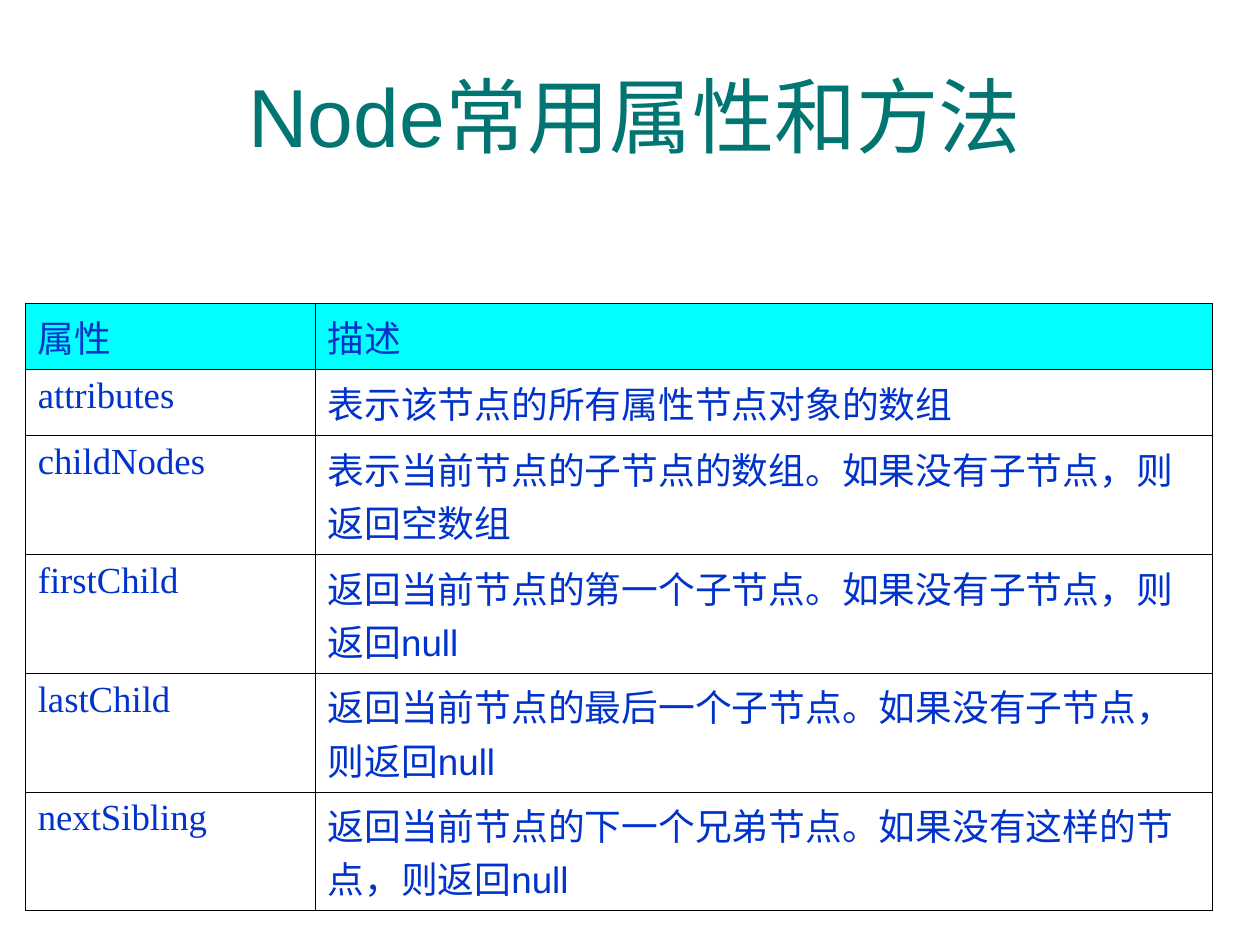
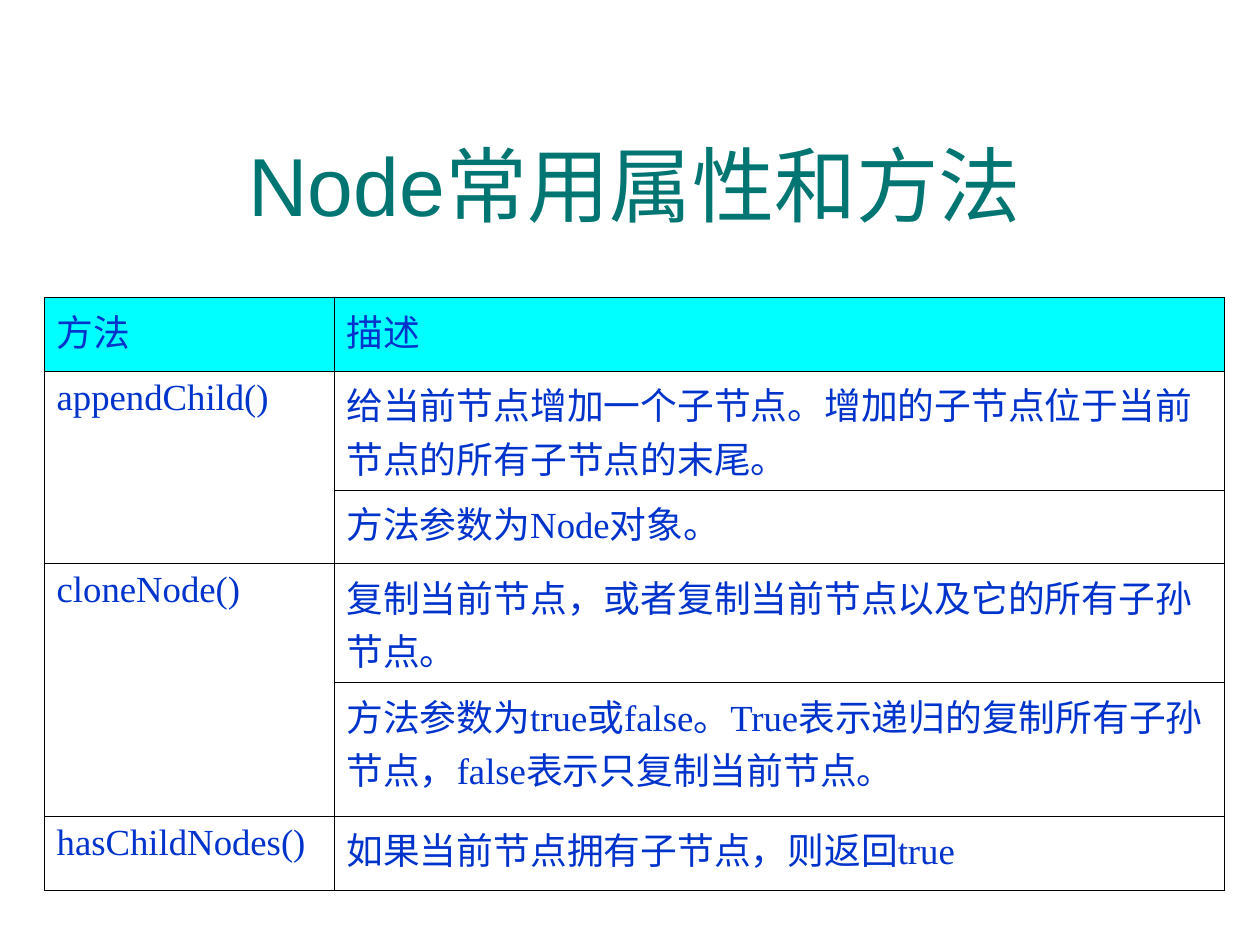
import pptx
import pptx.dml.color
import pptx.enum.lang
import pptx.enum.text
import pptx.oxml
import pptx.oxml.ns
import pptx.util

TITLE_GREEN = pptx.dml.color.RGBColor(0x00, 0x75, 0x72)
TEXT_BLUE = pptx.dml.color.RGBColor(0x00, 0x33, 0xCC)
HEADER_CYAN = pptx.dml.color.RGBColor(0x00, 0xFF, 0xFF)
RULE_BLACK = pptx.dml.color.RGBColor(0x00, 0x00, 0x00)
SANS, SERIF = "Arial", "Times New Roman"

# The grid has square cells: 100 columns by 75 rows.
COLUMNS, ROWS = 100, 75
TITLE_LEFT, TITLE_WIDTH, TITLE_HEIGHT = 8.3, 84.2, 8
KEY_COLUMNS = 23
HEADING = "Node常用属性和方法"

# Each entry: name (None continues the one above), description, font, grid rows.
PROPERTIES = [
    ("属性", "描述", SERIF, 4.5),
    ("attributes", "表示该节点的所有属性节点对象的数组", SANS, 4.5),
    ("childNodes", "表示当前节点的子节点的数组。如果没有子节点，则返回空数组", SANS, 8),
    ("firstChild", "返回当前节点的第一个子节点。如果没有子节点，则返回null", SANS, 8),
    ("lastChild", "返回当前节点的最后一个子节点。如果没有子节点，则返回null", SANS, 8),
    ("nextSibling", "返回当前节点的下一个兄弟节点。如果没有这样的节点，则返回null", SANS, 8),
]
METHODS = [
    ("方法", "描述", SERIF, 5.85),
    ("appendChild()", "给当前节点增加一个子节点。增加的子节点位于当前节点的所有子节点的末尾。", SANS, 8.1),
    (None, "方法参数为Node对象。", SERIF, 5.85),
    ("cloneNode()", "复制当前节点，或者复制当前节点以及它的所有子孙节点。", SERIF, 8),
    (None, "方法参数为true或false。True表示递归的复制所有子孙节点，false表示只复制当前节点。", SERIF, 10.6),
    ("hasChildNodes()", "如果当前节点拥有子节点，则返回true", SERIF, 5.9),
]


class Deck:
    def __init__(self):
        self.presentation = pptx.Presentation()
        self.presentation.slide_width = pptx.util.Inches(10)
        self.presentation.slide_height = pptx.util.Inches(7.5)
        self.slide = None

    def across(self, columns):
        return round(self.presentation.slide_width * columns / COLUMNS)

    def down(self, rows):
        return round(self.presentation.slide_height * rows / ROWS)

    def set_text(self, frame, words, color, **font_format):
        frame.text = words
        run = frame.paragraphs[0].runs[0]
        font_format["bold"] = False
        font_format["language_id"] = pptx.enum.lang.MSO_LANGUAGE_ID.SIMPLIFIED_CHINESE
        for attribute, value in font_format.items():
            setattr(run.font, attribute, value)
        run.font.color.rgb = color

    def add_titled_slide(self, heading, top):
        self.slide = self.presentation.slides.add_slide(self.presentation.slide_layouts[5])
        title = self.slide.shapes.title
        place = {
            "left": self.across(TITLE_LEFT), "top": self.down(top),
            "width": self.across(TITLE_WIDTH), "height": self.down(TITLE_HEIGHT),
        }
        for attribute, value in place.items():
            setattr(title, attribute, value)
        self.set_text(title.text_frame, heading, TITLE_GREEN, name=SANS, size=pptx.util.Pt(47))
        layout = {
            "auto_size": pptx.enum.text.MSO_AUTO_SIZE.NONE,
            "vertical_anchor": pptx.enum.text.MSO_ANCHOR.MIDDLE,
            "word_wrap": True,
        }
        for attribute, value in layout.items():
            setattr(title.text_frame, attribute, value)
        title.text_frame.paragraphs[0].alignment = pptx.enum.text.PP_ALIGN.CENTER

    def rule_cell(self, cell):
        """Draw a thin line on all four sides of the cell."""
        properties = cell._tc.get_or_add_tcPr()
        for position, side in enumerate("LRTB"):
            properties.insert(position, pptx.oxml.parse_xml(
                f'<a:ln{side} {pptx.oxml.ns.nsdecls("a")} w="{pptx.util.Pt(0.45)}">'
                f'<a:solidFill><a:srgbClr val="{RULE_BLACK}"/></a:solidFill></a:ln{side}>'))

    def add_reference_table(self, entries, left, top, width):
        table = self.slide.shapes.add_table(
            len(entries), 2, self.across(left), self.down(top), self.across(width),
            self.down(sum(entry[3] for entry in entries))).table
        for attribute in ("first_row", "horz_banding"):
            setattr(table, attribute, False)
        for column, columns in zip(table.columns, (KEY_COLUMNS, width - KEY_COLUMNS)):
            column.width = self.across(columns)
        for index, (name, description, font_name, height) in enumerate(entries):
            table.rows[index].height = self.down(height)
            name_cell, description_cell = table.cell(index, 0), table.cell(index, 1)
            for cell, words, face in ((name_cell, name, SERIF),
                                      (description_cell, description, font_name)):
                if index == 0:
                    cell.fill.solid()
                    cell.fill.fore_color.rgb = HEADER_CYAN
                else:
                    cell.fill.background()
                self.rule_cell(cell)
                if words:
                    self.set_text(cell.text_frame, words, TEXT_BLUE,
                                  name=face, size=pptx.util.Pt(21))
            if name is None:
                table.cell(index - 1, 0).merge(name_cell)


def main():
    deck = Deck()
    deck.add_titled_slide(HEADING, top=5.1)
    deck.add_reference_table(PROPERTIES, left=2, top=24.1, width=94.2)
    deck.add_titled_slide(HEADING, top=10.6)
    deck.add_reference_table(METHODS, left=3.5, top=23.6, width=93.7)
    deck.presentation.save("out.pptx")


if __name__ == "__main__":
    main()
